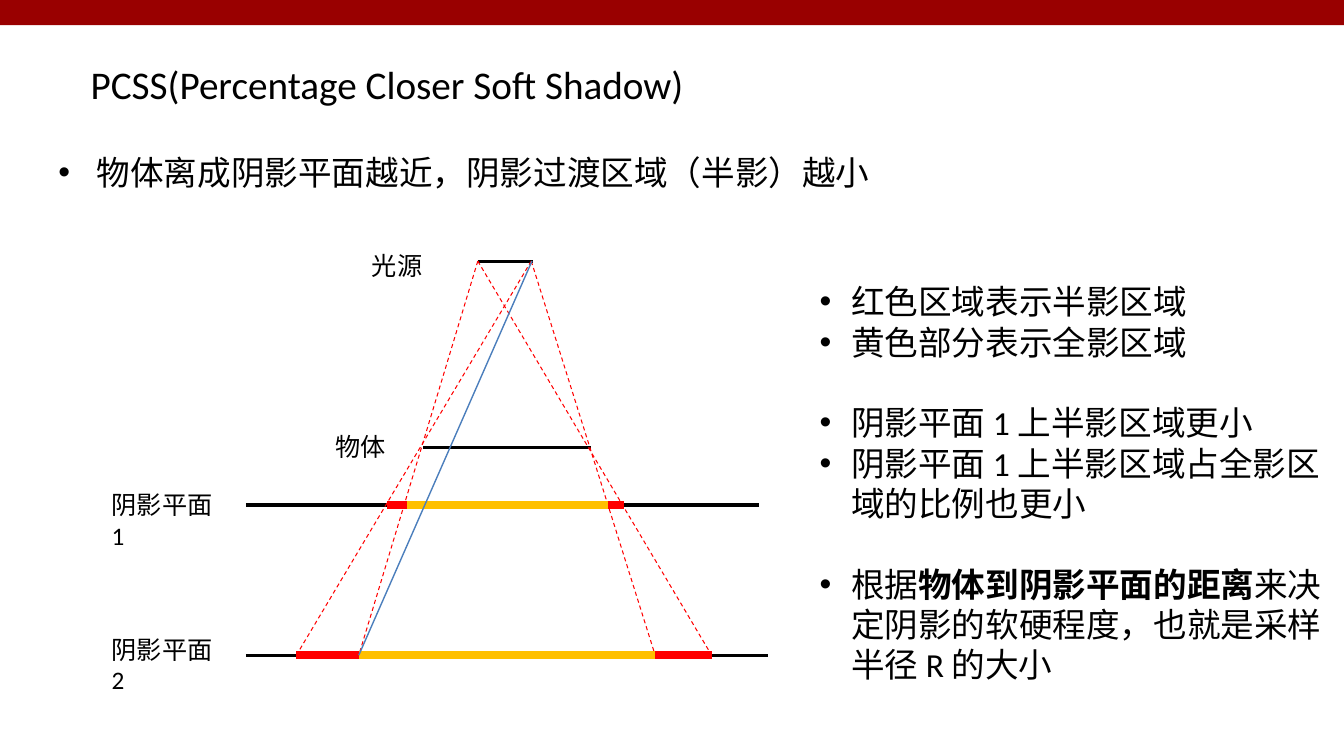
from dataclasses import dataclass
from typing import Any

from lxml.etree import SubElement
from pptx import Presentation
from pptx.dml.color import RGBColor
from pptx.enum.dml import MSO_LINE
from pptx.enum.shapes import MSO_CONNECTOR, MSO_SHAPE
from pptx.enum.text import MSO_ANCHOR, MSO_AUTO_SIZE, PP_ALIGN
from pptx.oxml.ns import qn
from pptx.util import Pt


@dataclass(frozen=True)
class Theme:
    font: str = "Calibri"
    ink: RGBColor = RGBColor(0x00, 0x00, 0x00)
    banner: RGBColor = RGBColor(0x99, 0x00, 0x00)
    penumbra: RGBColor = RGBColor(0xFF, 0x00, 0x00)
    umbra: RGBColor = RGBColor(0xFF, 0xC0, 0x00)
    sample_ray: RGBColor = RGBColor(0x4B, 0x7E, 0xBC)
    title_size: float = 28
    body_size: float = 24
    label_size: float = 18
    surface_width: float = 2.25
    band_width: float = 6
    ray_width: float = 0.75
    sample_width: float = 1


@dataclass(frozen=True)
class Box:
    left: float
    top: float
    width: float
    height: float


@dataclass(frozen=True)
class Segment:
    start: tuple[float, float]
    end: tuple[float, float]
    color: RGBColor
    width: float
    dashed: bool = False


@dataclass(frozen=True)
class Plane:
    """Shadow plane; edges run penumbra, umbra, umbra, penumbra from left to right."""
    y: float
    right: float
    edges: tuple[float, float, float, float]


@dataclass(frozen=True)
class Label:
    text: str
    box: Box


@dataclass(frozen=True)
class Bullet:
    phrases: tuple[str, ...]
    bold_phrase: int = -1
    space_before: float = 0


THEME = Theme()
SLIDE_WIDTH, SLIDE_HEIGHT = 960, 540
PLANE_LEFT = 175.7
LIGHT_Y, LIGHT_LEFT, LIGHT_RIGHT = 186.5, 341.3, 379.5
OBJECT_Y, OBJECT_LEFT, OBJECT_RIGHT = 319.7, 302.4, 421.9
NEAR_PLANE = Plane(360.7, 542.2, (276.5, 290.9, 434.2, 445.7))
FAR_PLANE = Plane(468, 548.6, (211.7, 256.3, 468, 508.3))
GROUP_GAP = 28.8

LABELS = (
    Label("光源", Box(258.5, 175, 51, 29)),
    Label("物体", Box(232.6, 304.6, 51, 29)),
    Label("阴影平面1", Box(72.7, 346.3, 92, 51)),
    Label("阴影平面2", Box(72.7, 449.3, 92, 51)),
)
CLAIM = (Bullet(("物体离成阴影平面越近，阴影过渡区域（半影）越小",), space_before=1),)
NOTES = (
    Bullet(("红色区域表示半影区域",)),
    Bullet(("黄色部分表示全影区域",)),
    Bullet(("阴影平面 1 上半影区域更小",), space_before=GROUP_GAP),
    Bullet(("阴影平面 1 上半影区域占全影区域的比例也更小",)),
    Bullet(("根据", "物体到阴影平面的距离", "来决定阴影的软硬程度，也就是采样半径 R 的大小"),
           bold_phrase=1, space_before=GROUP_GAP),
)


def apply(target: Any, values: dict[str, Any]) -> None:
    for attribute, value in values.items():
        setattr(target, attribute, value)


def place(shape: Any, box: Box) -> None:
    apply(shape, {"left": Pt(box.left), "top": Pt(box.top),
                  "width": Pt(box.width), "height": Pt(box.height)})


def style_run(run: Any, size: float, bold: bool = False) -> None:
    apply(run.font, {"name": THEME.font, "size": Pt(size), "bold": bold})
    run.font.color.rgb = THEME.ink


def style_frame(frame: Any, side_inset: float = 7.2, top_inset: float = 3.6) -> None:
    apply(frame, {"word_wrap": True, "auto_size": MSO_AUTO_SIZE.NONE,
                  "vertical_anchor": MSO_ANCHOR.TOP,
                  "margin_left": Pt(side_inset), "margin_right": Pt(side_inset),
                  "margin_top": Pt(top_inset), "margin_bottom": Pt(top_inset)})


def draw_banner(slide: Any) -> None:
    banner = slide.shapes.add_shape(MSO_SHAPE.RECTANGLE, 0, 0, Pt(SLIDE_WIDTH), Pt(18))
    banner.shadow.inherit = False
    banner.fill.solid()
    banner.fill.fore_color.rgb = THEME.banner
    banner.line.fill.background()


def fill_title(title: Any, text: str, box: Box) -> None:
    place(title, box)
    style_frame(title.text_frame, 0.7, 0.7)
    paragraph = title.text_frame.paragraphs[0]
    apply(paragraph, {"alignment": PP_ALIGN.LEFT, "space_before": Pt(1)})
    run = paragraph.add_run()
    run.text = text
    style_run(run, THEME.title_size)


def fill_list(body: Any, bullets: tuple[Bullet, ...], box: Box, indent: float) -> None:
    place(body, box)
    style_frame(body.text_frame)
    for index, bullet in enumerate(bullets):
        paragraph = (body.text_frame.add_paragraph() if index
                     else body.text_frame.paragraphs[0])
        apply(paragraph, {"alignment": PP_ALIGN.LEFT,
                          "space_before": Pt(bullet.space_before)})
        properties = paragraph._p.get_or_add_pPr()
        properties.set("marL", str(Pt(indent)))
        properties.set("indent", str(-Pt(indent)))
        for position, phrase in enumerate(bullet.phrases):
            run = paragraph.add_run()
            run.text = phrase
            style_run(run, THEME.body_size, position == bullet.bold_phrase)


def draw_segment(slide: Any, segment: Segment) -> None:
    ends = [Pt(value) for value in segment.start + segment.end]
    connector = slide.shapes.add_connector(MSO_CONNECTOR.STRAIGHT, *ends)
    connector.line.color.rgb = segment.color
    connector.line.width = Pt(segment.width)
    if segment.dashed:
        connector.line.dash_style = MSO_LINE.DASH
    SubElement(connector._element.spPr, qn("a:effectLst"))


def draw_label(slide: Any, label: Label) -> None:
    textbox = slide.shapes.add_textbox(0, 0, 0, 0)
    place(textbox, label.box)
    style_frame(textbox.text_frame)
    run = textbox.text_frame.paragraphs[0].add_run()
    run.text = label.text
    style_run(run, THEME.label_size)


def level(y: float, left: float, right: float, color: RGBColor, width: float) -> Segment:
    return Segment((left, y), (right, y), color, width)


def diagram_segments() -> list[Segment]:
    """List surfaces, light rays, shadow bands and the sample ray, back to front."""
    surfaces = [(LIGHT_Y, LIGHT_LEFT, LIGHT_RIGHT + 1), (OBJECT_Y, OBJECT_LEFT, OBJECT_RIGHT)]
    surfaces += [(plane.y, PLANE_LEFT, plane.right) for plane in (NEAR_PLANE, FAR_PLANE)]
    segments = [level(*surface, THEME.ink, THEME.surface_width) for surface in surfaces]
    light_ends = (LIGHT_RIGHT, LIGHT_LEFT, LIGHT_RIGHT, LIGHT_LEFT)
    segments += [Segment((light, LIGHT_Y), (edge, FAR_PLANE.y),
                         THEME.penumbra, THEME.ray_width, True)
                 for light, edge in zip(light_ends, FAR_PLANE.edges)]
    band_colors = (THEME.penumbra, THEME.umbra, THEME.penumbra)
    segments += [level(plane.y, left, right, color, THEME.band_width)
                 for plane in (NEAR_PLANE, FAR_PLANE)
                 for left, right, color in zip(plane.edges, plane.edges[1:], band_colors)]
    segments.append(Segment((LIGHT_RIGHT + 0.5, LIGHT_Y), (FAR_PLANE.edges[1], FAR_PLANE.y),
                            THEME.sample_ray, THEME.sample_width))
    return segments


def main() -> None:
    presentation = Presentation()
    apply(presentation, {"slide_width": Pt(SLIDE_WIDTH), "slide_height": Pt(SLIDE_HEIGHT)})
    slide = presentation.slides.add_slide(presentation.slide_layouts.get_by_name("Two Content"))
    draw_banner(slide)
    fill_title(slide.shapes.title, "PCSS(Percentage Closer Soft Shadow)",
               Box(64, 42.5, 474.5, 36))
    fill_list(slide.placeholders[1], CLAIM, Box(34.5, 105, 715, 37), 27.4)
    fill_list(slide.placeholders[2], NOTES, Box(578.2, 197.3, 381.8, 298), 22.5)
    for segment in diagram_segments():
        draw_segment(slide, segment)
    for label in LABELS:
        draw_label(slide, label)
    presentation.save("out.pptx")


if __name__ == "__main__":
    main()
